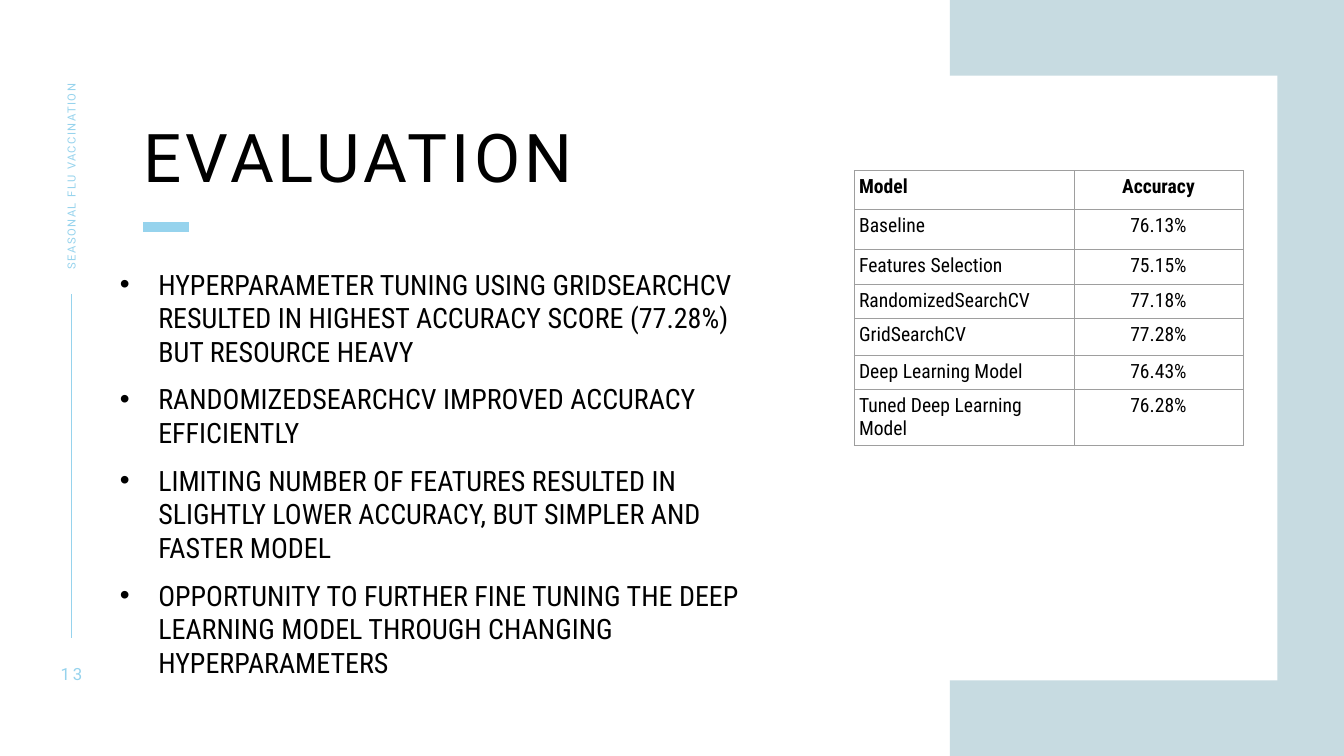
from dataclasses import dataclass
from typing import Optional

from lxml import etree
from pptx import Presentation
from pptx import util as u
from pptx.dml.color import RGBColor
from pptx.enum import shapes, text
from pptx.oxml.ns import qn


@dataclass(frozen=True)
class Theme:
    accent: str = "96D3ED"
    panel: str = "C7DBE1"
    paper: str = "FFFFFF"
    ink: str = "000000"
    grid: str = "9E9E9E"
    head_font: str = "Roboto"
    body_font: str = "Roboto Condensed"
    title: float = 48
    body: float = 20
    table: float = 14
    number: float = 12
    label: float = 8


@dataclass(frozen=True)
class Box:
    left: float
    top: float
    width: float
    height: float

    def emu(self) -> list:
        return [u.Inches(v) for v in (self.left, self.top, self.width, self.height)]


@dataclass(frozen=True)
class Style:
    size: float
    font: str
    color: str
    bold: bool = False
    spacing: float = 0
    align: Optional[text.PP_ALIGN] = None


@dataclass(frozen=True)
class Rule:
    start: tuple
    end: tuple
    width: float


@dataclass(frozen=True)
class Label:
    box: Box
    words: str
    style: Style
    rotation: float = 0


T = Theme()
TITLE = Style(T.title, T.head_font, T.ink, spacing=3)
BODY = Style(T.body, T.body_font, T.ink)
PANELS = [(Box(9.42, 0, 3.92, 7.5), T.panel), (Box(4.88, 0.75, 7.79, 6), T.paper)]
RULES = [Rule((0.71, 2.92), (0.71, 6.33), 1), Rule((1.42, 2.25), (1.87, 2.25), 7)]
LABELS = [
    Label(Box(-0.27, 1.59, 1.95, 0.21), "SEASONAL FLU VACCINATION",
          Style(T.label, T.head_font, T.accent, spacing=1), 270),
    Label(Box(0.46, 6.58, 0.5, 0.2), "13",
          Style(T.number, T.head_font, T.accent, spacing=2, align=text.PP_ALIGN.CENTER)),
]
FINDINGS = [
    "HYPERPARAMETER TUNING USING GRIDSEARCHCV RESULTED IN HIGHEST ACCURACY SCORE (77.28%) BUT RESOURCE HEAVY",
    "RANDOMIZEDSEARCHCV IMPROVED ACCURACY EFFICIENTLY",
    "LIMITING NUMBER OF FEATURES RESULTED IN SLIGHTLY LOWER ACCURACY, BUT SIMPLER AND FASTER MODEL",
    "OPPORTUNITY TO FURTHER FINE TUNING THE DEEP LEARNING MODEL THROUGH CHANGING HYPERPARAMETERS",
]
SCORES = [
    ("Model", "Accuracy"),
    ("Baseline", "76.13%"),
    ("Features Selection", "75.15%"),
    ("RandomizedSearchCV", "77.18%"),
    ("GridSearchCV", "77.28%"),
    ("Deep Learning Model", "76.43%"),
    ("Tuned Deep Learning Model", "76.28%"),
]
COLUMN_WIDTHS = [2.18, 1.68]
ROW_HEIGHTS = [0.39, 0.39, 0.35, 0.34, 0.36, 0.34, 0.56]


def apply(target, values: dict) -> None:
    for name, value in values.items():
        setattr(target, name, value)


def write(p, words: str, style: Style) -> None:
    r = p.add_run()
    r.text = words
    apply(r.font, {"size": u.Pt(style.size), "name": style.font, "bold": style.bold})
    r.font.color.rgb = RGBColor.from_string(style.color)
    if style.spacing:
        r._r.get_or_add_rPr().set("spc", str(int(style.spacing * 100)))
    p.alignment = style.align or text.PP_ALIGN.LEFT


def set_frame(tf, anchor: text.MSO_ANCHOR) -> None:
    apply(tf, {"margin_left": 0, "margin_right": 0, "margin_top": 0, "margin_bottom": 0,
               "word_wrap": True, "auto_size": text.MSO_AUTO_SIZE.NONE,
               "vertical_anchor": anchor})


def add_panel(s, box: Box, color: str) -> None:
    sp = s.shapes.add_shape(shapes.MSO_SHAPE.RECTANGLE, *box.emu())
    sp.shadow.inherit = False
    sp.fill.solid()
    sp.fill.fore_color.rgb = RGBColor.from_string(color)
    sp.line.fill.background()


def add_rule(s, rule: Rule) -> None:
    ends = [u.Inches(v) for v in rule.start + rule.end]
    sp = s.shapes.add_connector(shapes.MSO_CONNECTOR.STRAIGHT, *ends)
    sp.line.color.rgb = RGBColor.from_string(T.accent)
    sp.line.width = u.Pt(rule.width)
    etree.SubElement(sp._element.spPr, qn("a:effectLst"))


def bring_to_front(sp) -> None:
    sp._element.getparent().append(sp._element)


def add_title(s, box: Box, words: str) -> None:
    sp = s.shapes.title
    bring_to_front(sp)
    apply(sp, dict(zip(("left", "top", "width", "height"), box.emu())))
    set_frame(sp.text_frame, text.MSO_ANCHOR.TOP)
    p = sp.text_frame.paragraphs[0]
    p.line_spacing = 0.9
    write(p, words, TITLE)


def add_label(s, label: Label) -> None:
    sp = s.shapes.add_textbox(*label.box.emu())
    sp.rotation = label.rotation
    set_frame(sp.text_frame, text.MSO_ANCHOR.MIDDLE)
    write(sp.text_frame.paragraphs[0], label.words, label.style)


def add_bullets(s, box: Box, items: list) -> None:
    tf = s.shapes.add_textbox(*box.emu()).text_frame
    set_frame(tf, text.MSO_ANCHOR.TOP)
    indent = u.Inches(0.38)
    for i, item in enumerate(items):
        p = tf.add_paragraph() if i else tf.paragraphs[0]
        apply(p, {"line_spacing": u.Pt(24), "space_before": u.Pt(10)})
        write(p, item, BODY)
        pPr = p._p.get_or_add_pPr()
        pPr.set("marL", str(indent))
        pPr.set("indent", str(-indent))
        etree.SubElement(pPr, qn("a:buFont"), typeface="Arial")
        etree.SubElement(pPr, qn("a:buChar"), char="•")


def add_borders(cell) -> None:
    tcPr = cell._tc.get_or_add_tcPr()
    for side in ("lnL", "lnR", "lnT", "lnB"):
        ln = etree.SubElement(tcPr, qn(f"a:{side}"), w=str(u.Pt(0.38)))
        fill = etree.SubElement(ln, qn("a:solidFill"))
        etree.SubElement(fill, qn("a:srgbClr"), val=T.grid)


def add_scores(s, left: float, top: float) -> None:
    box = Box(left, top, sum(COLUMN_WIDTHS), sum(ROW_HEIGHTS))
    tbl = s.shapes.add_table(len(SCORES), len(COLUMN_WIDTHS), *box.emu()).table
    apply(tbl, {"first_row": False, "horz_banding": False})
    for column, width in zip(tbl.columns, COLUMN_WIDTHS):
        column.width = u.Inches(width)
    pad = u.Inches(0.05)
    for i, (row, height, values) in enumerate(zip(tbl.rows, ROW_HEIGHTS, SCORES)):
        row.height = u.Inches(height)
        for j, (cell, value) in enumerate(zip(row.cells, values)):
            apply(cell, {"margin_left": pad, "margin_right": pad, "margin_top": pad,
                         "margin_bottom": pad, "vertical_anchor": text.MSO_ANCHOR.TOP})
            add_borders(cell)
            cell.fill.background()
            align = text.PP_ALIGN.CENTER if j else text.PP_ALIGN.LEFT
            write(cell.text_frame.paragraphs[0], value,
                  Style(T.table, T.body_font, T.ink, bold=i == 0, align=align))


def main() -> None:
    prs = Presentation()
    apply(prs, {"slide_width": u.Inches(13.33), "slide_height": u.Inches(7.5)})
    s = prs.slides.add_slide(prs.slide_layouts.get_by_name("Title Only"))
    for box, color in PANELS:
        add_panel(s, box, color)
    for rule in RULES:
        add_rule(s, rule)
    add_title(s, Box(1.42, 1.23, 4.95, 0.6), "EVALUATION")
    for label in LABELS:
        add_label(s, label)
    add_bullets(s, Box(1.19, 2.65, 6.3, 4.38), FINDINGS)
    add_scores(s, 8.47, 1.69)
    prs.save("out.pptx")


if __name__ == "__main__":
    main()
